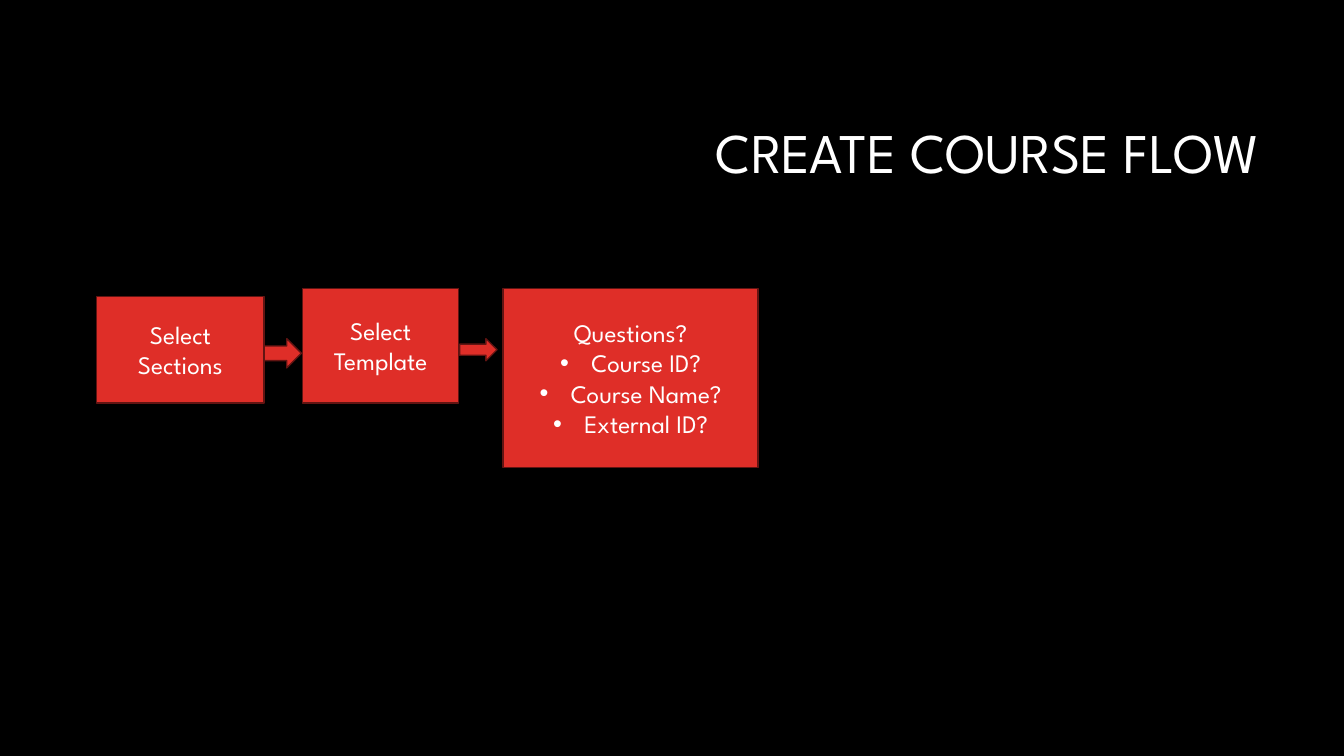
from lxml.etree import SubElement
from pptx import Presentation
from pptx.dml.color import RGBColor
from pptx.enum.shapes import MSO_SHAPE
from pptx.enum.text import MSO_ANCHOR, PP_ALIGN
from pptx.oxml.ns import qn
from pptx.util import Inches, Pt

BLACK = RGBColor(0x00, 0x00, 0x00)
WHITE = RGBColor(0xFF, 0xFF, 0xFF)
RED = RGBColor(0xDF, 0x2E, 0x28)
DARK_RED = RGBColor(0x62, 0x14, 0x12)
FONT = "League Spartan"

# Each step: box (left, top, width, height), heading, bullets
STEPS = [
    ((0.96, 2.94, 1.66, 1.06), "Select Sections", []),
    ((3, 2.86, 1.55, 1.14), "Select Template", []),
    ((4.99, 2.86, 2.53, 1.78), "Questions?",
     ["Course ID?", "Course Name?", "External ID?"]),
]
# Each arrow: gap after its step, height
ARROWS = [(0, 0.29), (0.01, 0.22)]
ARROW_TOP, ARROW_WIDTH = 3.36, 0.37


def style_text(para, size, align):
    para.alignment = align
    for name, value in {"name": FONT, "size": Pt(size), "bold": False}.items():
        setattr(para.font, name, value)
    para.font.color.rgb = WHITE


def add_bullet(para):
    properties = para._p.get_or_add_pPr()
    for name, value in {"marL": Inches(0.31), "indent": -Inches(0.31)}.items():
        properties.set(name, str(int(value)))
    SubElement(properties, qn("a:buFont"), typeface="Arial")
    SubElement(properties, qn("a:buChar"), char="•")


def add_red_shape(page, kind, box):
    shape = page.shapes.add_shape(kind, *map(Inches, box))
    shape.shadow.inherit = False
    shape.fill.solid()
    shape.fill.fore_color.rgb = RED
    shape.line.color.rgb = DARK_RED
    shape.line.width = Pt(1)
    return shape


def add_title(page, box, text):
    title = page.shapes.title
    for name, value in zip(("left", "top", "width", "height"), box):
        setattr(title, name, Inches(value))
    frame = title.text_frame
    frame.text = text
    frame.vertical_anchor = MSO_ANCHOR.MIDDLE
    para = frame.paragraphs[0]
    para.line_spacing = 0.9
    style_text(para, 40, PP_ALIGN.RIGHT)


def add_step(page, box, heading, bullets):
    frame = add_red_shape(page, MSO_SHAPE.RECTANGLE, box).text_frame
    frame.word_wrap = True
    frame.vertical_anchor = MSO_ANCHOR.MIDDLE
    frame.text = "\n".join([heading, *bullets])
    for number, para in enumerate(frame.paragraphs):
        if number:
            add_bullet(para)
        style_text(para, 18, PP_ALIGN.CENTER)


def add_flow(page):
    for box, heading, bullets in STEPS:
        add_step(page, box, heading, bullets)
    # Block arrows start at the right side of the step before them
    for (box, _, _), (gap, height) in zip(STEPS, ARROWS):
        left = box[0] + box[2] + gap
        add_red_shape(page, MSO_SHAPE.RIGHT_ARROW,
                      (left, ARROW_TOP, ARROW_WIDTH, height))


def main():
    deck = Presentation()
    deck.slide_width, deck.slide_height = Inches(13.33), Inches(7.5)
    page = deck.slides.add_slide(deck.slide_layouts[5])
    page.background.fill.solid()
    page.background.fill.fore_color.rgb = BLACK
    add_title(page, (3.17, 0.84, 9.42, 1.41), "CREATE COURSE FLOW")
    add_flow(page)
    deck.save("out.pptx")


if __name__ == "__main__":
    main()
